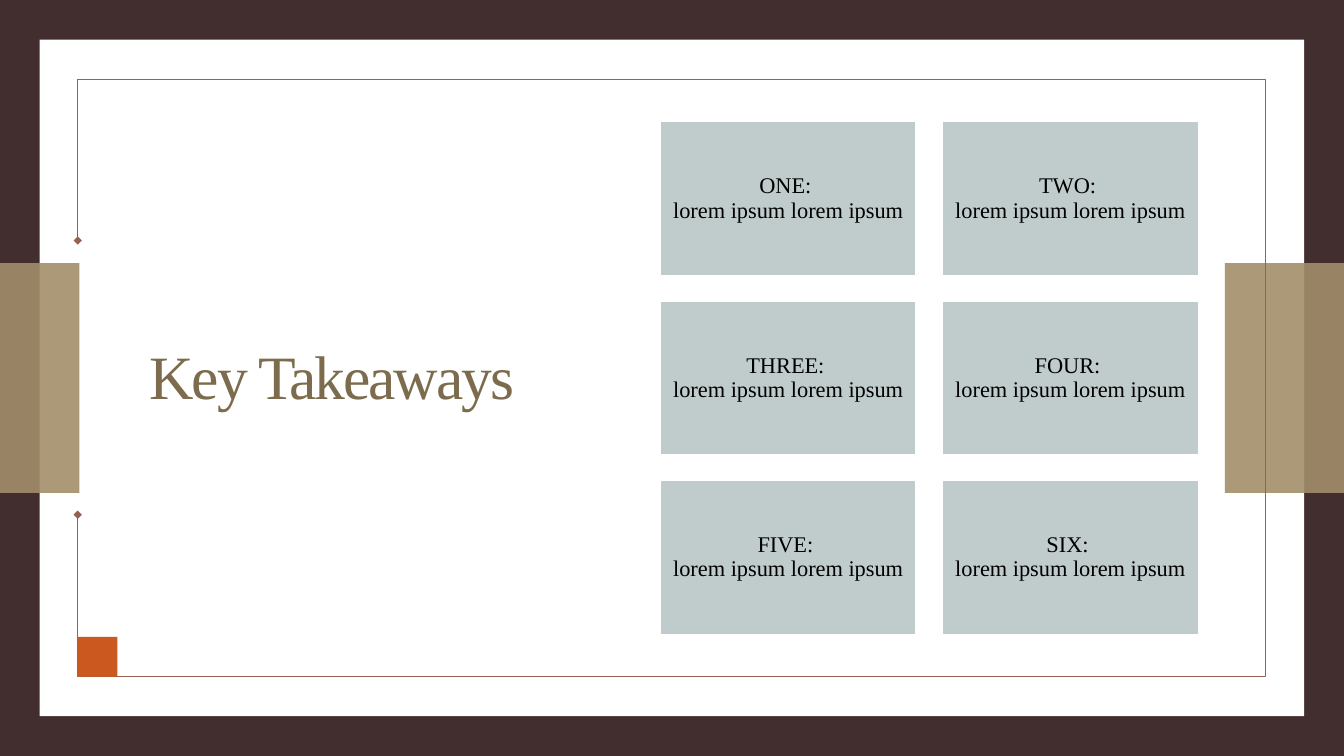
from lxml import etree
from pptx import Presentation
from pptx import util as u
from pptx.dml import color
from pptx.enum import shapes, text
from pptx.oxml import ns

COLORS = {
    "backdrop": "422E2E", "paper": "FFFFFF", "band": "A28E6A", "frame": "956251",
    "accent": "CB581F", "title": "7C6B4D", "card": "C0CBCB", "ink": "000000",
}
FONT = "Times New Roman"
CARDS = ["ONE", "TWO", "THREE", "FOUR", "FIVE", "SIX"]
CARD_COLUMNS = 2


def rgb(name):
    return color.RGBColor.from_string(COLORS[name])


def add_rect(s, box, fill, line=None, alpha=None):
    sp = s.shapes.add_shape(shapes.MSO_SHAPE.RECTANGLE, *map(u.Cm, box))
    sp.shadow.inherit = False
    sp.fill.solid()
    sp.fill.fore_color.rgb = rgb(fill)
    if line:
        sp.line.color.rgb = rgb(line)
        sp.line.width = u.Pt(1)
    else:
        sp.line.fill.background()
    if alpha:
        clr = sp.fill._xPr.find(".//" + ns.qn("a:srgbClr"))
        etree.SubElement(clr, ns.qn("a:alpha"), val=str(alpha * 1000))
    return sp


def add_frame(s, points):
    start, *rest = [(u.Cm(x), u.Cm(y)) for x, y in points]
    builder = s.shapes.build_freeform(*start)
    builder.add_line_segments(rest, close=False)
    sp = builder.convert_to_shape()
    sp.shadow.inherit = False
    sp.fill.background()
    sp.line.color.rgb = rgb("frame")
    sp.line.width = u.Pt(1)
    ln = sp.line._get_or_add_ln()
    for end in ("a:headEnd", "a:tailEnd"):
        etree.SubElement(ln, ns.qn(end), type="diamond")


def set_text(sp, words, size, ink, anchor):
    tf = sp.text_frame
    tf.word_wrap = True
    tf.vertical_anchor = anchor
    p = tf.paragraphs[0]
    p.text = words
    p.alignment = text.PP_ALIGN.CENTER
    p.line_spacing = 0.9
    p.font.name = FONT
    p.font.size = u.Pt(size)
    p.font.color.rgb = rgb(ink)
    return tf


def add_title(s, words, box):
    sp = s.shapes.add_textbox(*map(u.Cm, box))
    tf = set_text(sp, words, 44, "title", text.MSO_ANCHOR.BOTTOM)
    r = tf.paragraphs[0].runs[0]
    r.font._element.set("spc", "-150")


def add_card(s, index, name):
    row, column = divmod(index, CARD_COLUMNS)
    box = (16.64 + 7.11 * column, 3.07 + 4.52 * row, 6.45, 3.88)
    sp = add_rect(s, box, "card", line="paper")
    tf = set_text(sp, f"{name}: \vlorem ipsum lorem ipsum", 16, "ink",
                  text.MSO_ANCHOR.MIDDLE)
    tf.margin_left = tf.margin_right = tf.margin_top = tf.margin_bottom = u.Cm(0.17)


def main():
    """Build the key takeaways slide."""
    prs = Presentation()
    prs.slide_width, prs.slide_height = u.Cm(33.87), u.Cm(19.05)
    s = prs.slides.add_slide(prs.slide_layouts[6])
    s.background.fill.solid()
    s.background.fill.fore_color.rgb = rgb("backdrop")

    add_rect(s, (1, 1, 31.87, 17.05), "paper")
    add_rect(s, (0, 6.63, 2, 5.79), "band", alpha=90)
    add_rect(s, (30.87, 6.63, 3, 5.79), "band", alpha=90)
    left, top, right, bottom = 1.96, 2, 31.9, 17.05
    add_frame(s, [(left, 6.06), (left, top), (right, top),
                  (right, bottom), (left, bottom), (left, 12.97)])
    add_rect(s, (left, bottom - 1, 1, 1), "accent")
    add_title(s, "Key Takeaways", (2.79, 6.81, 11.15, 3.71))
    for index, name in enumerate(CARDS):
        add_card(s, index, name)
    prs.save("out.pptx")


if __name__ == "__main__":
    main()
